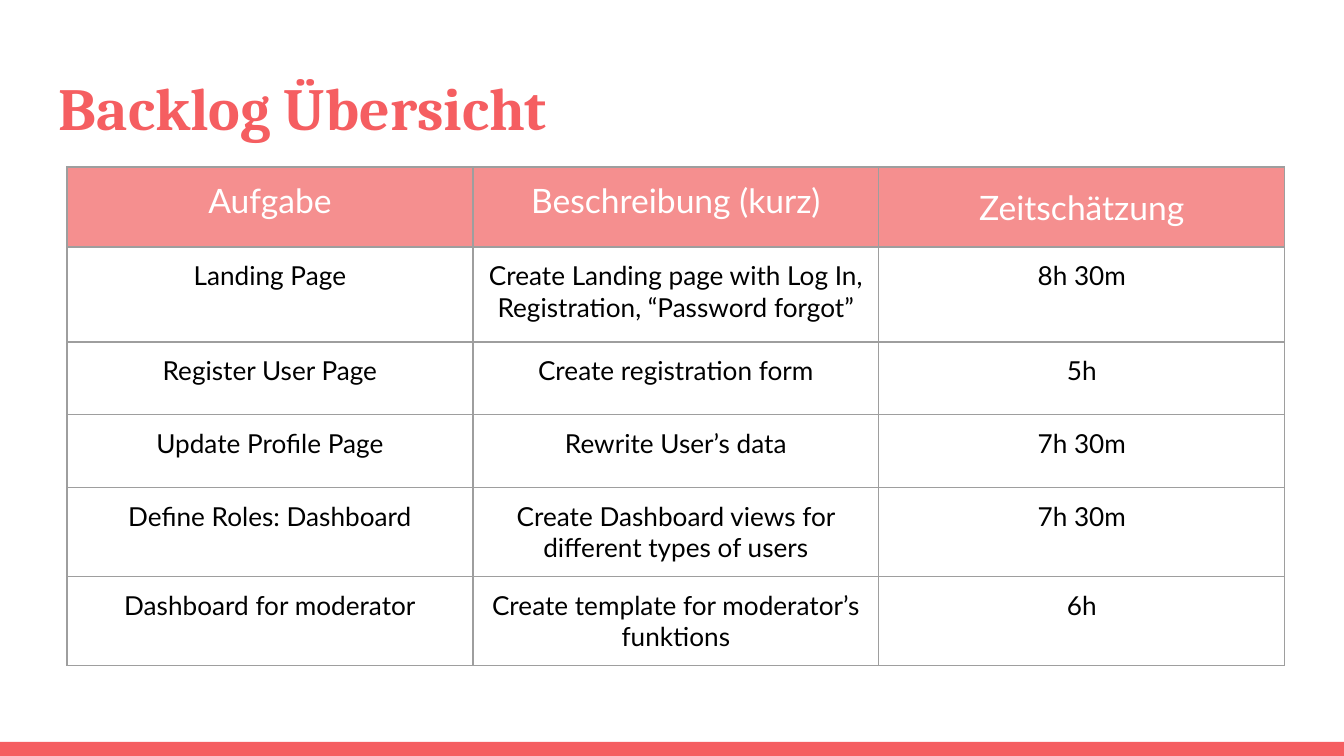
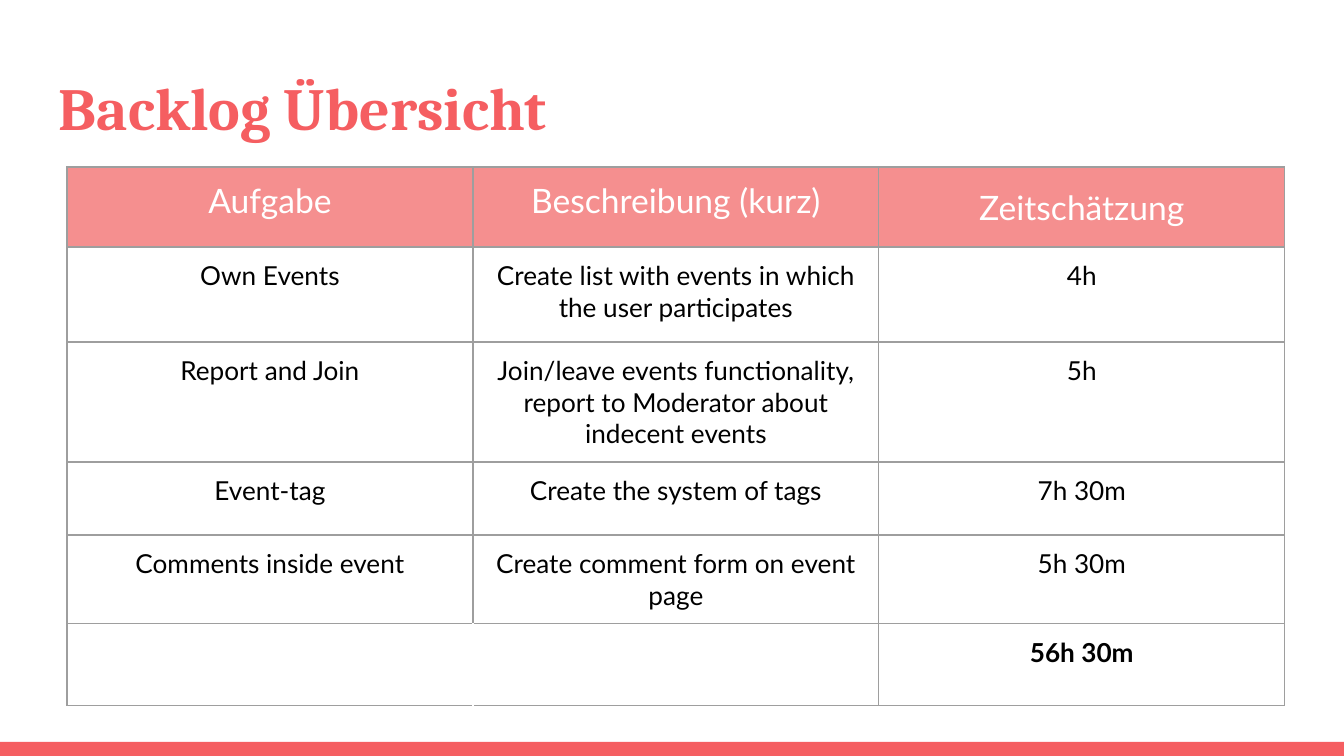
import dataclasses

import lxml.etree
import pptx
import pptx.dml.color
import pptx.enum.shapes
import pptx.enum.text
import pptx.oxml.ns
import pptx.util

SCALE = 914400 / 134.4
WIDTH, HEIGHT = 1344, 756
INSET = 13
COL_WIDTH = 406
ROW_HEIGHTS = [80, 95, 73, 73, 82, 82]
ANCHOR = pptx.enum.text.MSO_ANCHOR
ALIGN = pptx.enum.text.PP_ALIGN


@dataclasses.dataclass(frozen=True)
class Theme:
    accent: str = "F55E61"
    header: str = "F58F8F"
    border: str = "9E9E9E"
    white: str = "FFFFFF"
    black: str = "000000"
    title_font: str = "Cambria"
    body_font: str = "Lato"
    title_size: int = 32
    header_size: int = 18
    body_size: int = 14
    border_width: float = 0.75


THEME = Theme()
TITLE = "Backlog Übersicht"
HEADERS = ["Aufgabe", "Beschreibung (kurz)", "Zeitschätzung"]
FIRST_TASKS = [
    ["Landing Page", "Create Landing page with Log In, Registration, “Password forgot”", "8h 30m"],
    ["Register User Page", "Create registration form", "5h"],
    ["Update Profile Page", "Rewrite User’s data", "7h 30m"],
    ["Define Roles: Dashboard", "Create Dashboard views for different types of users", "7h 30m"],
    ["Dashboard for moderator", "Create template for moderator’s funktions", "6h"],
]
SECOND_TASKS = [
    ["Own Events", "Create list with events in which the user participates", "4h"],
    ["Report and Join",
     "Join/leave events functionality, report to Moderator about indecent events", "5h"],
    ["Event-tag", "Create the system of tags", "7h 30m"],
    ["Comments inside event", "Create comment form on event page", "5h 30m"],
]
TOTAL = "56h 30m"


def px(n):
    return pptx.util.Emu(round(n * SCALE))


def rgb(color):
    return pptx.dml.color.RGBColor.from_string(color)


def write(tf, text, font=THEME.body_font, size=THEME.body_size, color=THEME.black,
          bold=False, align=ALIGN.CENTER, space_after=0):
    p = tf.paragraphs[0]
    p.alignment = align
    p.space_after = pptx.util.Pt(space_after)
    r = p.add_run()
    r.text = text
    r.font.name = font
    r.font.size = pptx.util.Pt(size)
    r.font.bold = bold
    r.font.color.rgb = rgb(color)


def set_margins(box):
    box.margin_left = box.margin_right = px(INSET)
    box.margin_top = box.margin_bottom = px(INSET)


def add_band(s):
    sp = s.shapes.add_shape(pptx.enum.shapes.MSO_SHAPE.RECTANGLE,
                            px(0), px(742), px(WIDTH), px(14))
    sp.shadow.inherit = False
    sp.fill.solid()
    sp.fill.fore_color.rgb = rgb(THEME.accent)
    sp.line.fill.background()


def add_title(s, text):
    tf = s.shapes.add_textbox(px(46), px(58), px(1253), px(91)).text_frame
    tf.word_wrap = True
    tf.vertical_anchor = ANCHOR.TOP
    set_margins(tf)
    write(tf, text, font=THEME.title_font, size=THEME.title_size,
          color=THEME.accent, bold=True, align=ALIGN.LEFT)


def set_borders(cell, **colors):
    qn = pptx.oxml.ns.qn
    tcPr = cell._tc.get_or_add_tcPr()
    for i, side in enumerate("LRTB"):
        ln = lxml.etree.Element(qn(f"a:ln{side}"), w=str(pptx.util.Pt(THEME.border_width)))
        fill = lxml.etree.SubElement(ln, qn("a:solidFill"))
        lxml.etree.SubElement(fill, qn("a:srgbClr"), val=colors.get(side, THEME.border))
        tcPr.insert(i, ln)


def format_cell(cell, fill=None, **borders):
    set_margins(cell)
    set_borders(cell, **borders)
    if fill:
        cell.fill.solid()
        cell.fill.fore_color.rgb = rgb(fill)
    else:
        cell.fill.background()


def add_backlog(s, tasks, total=None):
    cols = len(HEADERS)
    table = s.shapes.add_table(len(ROW_HEIGHTS), cols, px(67), px(167),
                               px(COL_WIDTH * cols), px(sum(ROW_HEIGHTS))).table
    table.first_row = table.horz_banding = False
    for col in table.columns:
        col.width = px(COL_WIDTH)
    for row, height in zip(table.rows, ROW_HEIGHTS):
        row.height = px(height)

    for j, text in enumerate(HEADERS):
        cell = table.cell(0, j)
        last = j == cols - 1
        format_cell(cell, fill=THEME.header)
        cell.vertical_anchor = ANCHOR.MIDDLE if last else ANCHOR.TOP
        write(cell.text_frame, text, size=THEME.header_size, color=THEME.white,
              space_after=16 if last else 0)

    for i, task in enumerate(tasks, start=1):
        for j, text in enumerate(task):
            cell = table.cell(i, j)
            format_cell(cell)
            write(cell.text_frame, text)

    if total:
        left, middle, right = table.rows[len(tasks) + 1].cells
        format_cell(left, R=THEME.white)
        format_cell(middle, L=THEME.white)
        format_cell(right)
        write(right.text_frame, total, bold=True)


def add_backlog_slide(prs, tasks, total=None):
    s = prs.slides.add_slide(prs.slide_layouts[6])
    add_band(s)
    add_title(s, TITLE)
    add_backlog(s, tasks, total)


def main():
    prs = pptx.Presentation()
    prs.slide_width, prs.slide_height = px(WIDTH), px(HEIGHT)
    add_backlog_slide(prs, FIRST_TASKS)
    add_backlog_slide(prs, SECOND_TASKS, TOTAL)
    prs.save("out.pptx")


if __name__ == "__main__":
    main()
